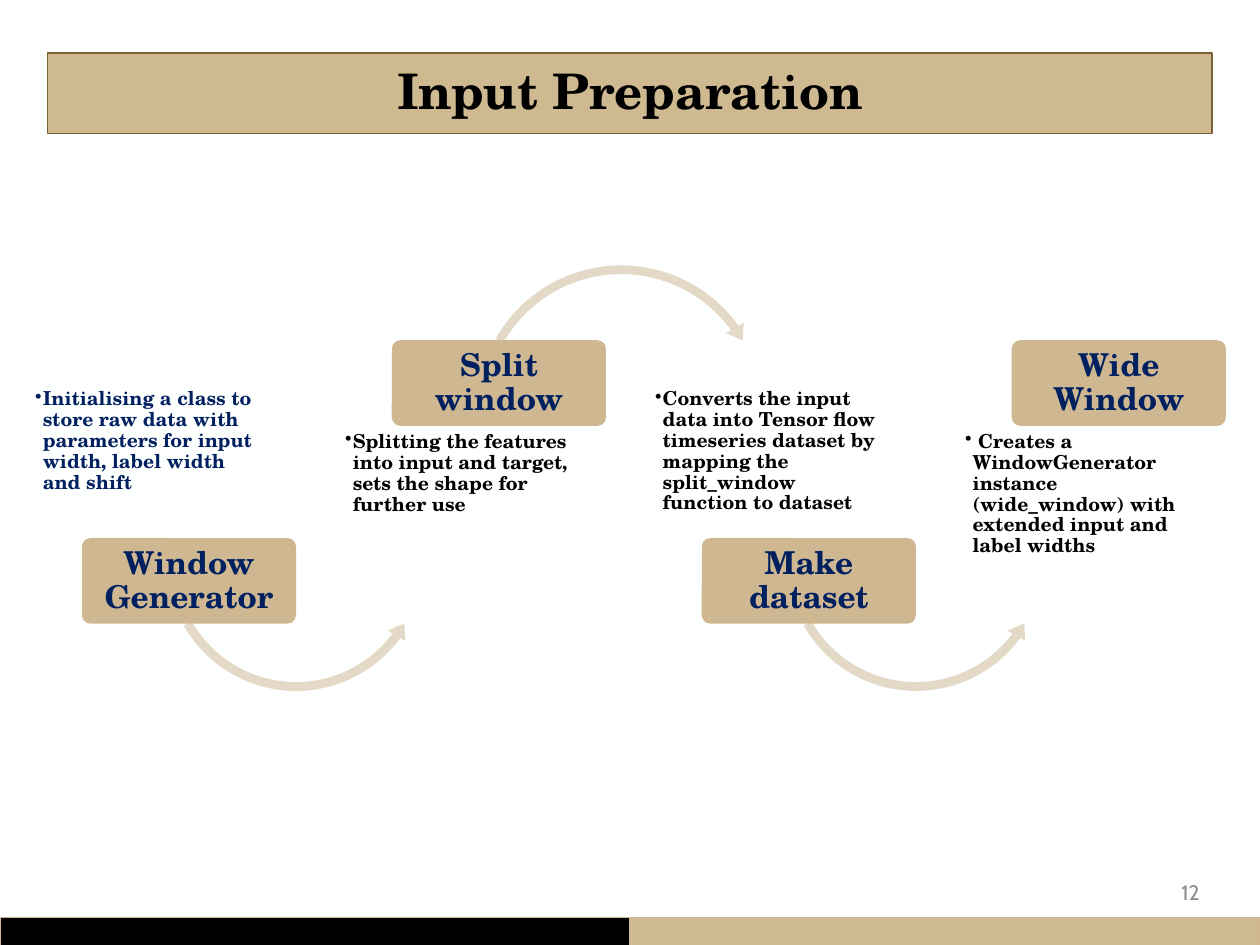
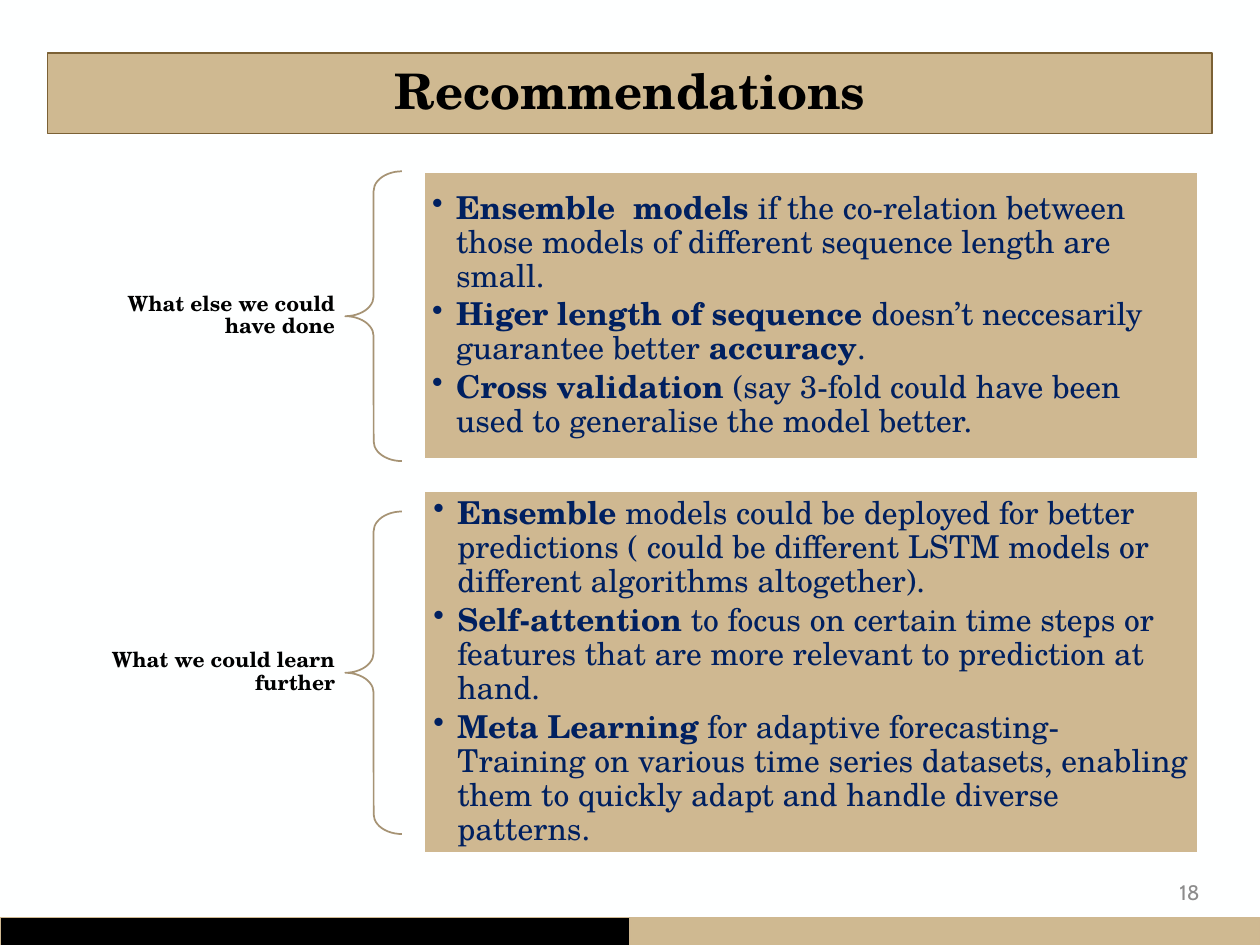
"""Builds two slides, an input preparation flow and a list of recommendations."""
from lxml import etree
from pptx import Presentation, util as u
from pptx.dml.color import RGBColor
from pptx.enum import shapes, text
from pptx.oxml.ns import qn

SERIF, SANS = "TeX Gyre Schola", "Cabin"
PAPER, BLACK, NAVY, GREY = "FEFFFF", "000000", "002060", "8C8C8C"
TAN, GOLD, BROWN, SAND, BRACE = "CFB991", "CFB891", "7B6135", "E4D8C7", "A69374"
SHAPE, ALIGN, ANCHOR = shapes.MSO_SHAPE, text.PP_ALIGN, text.MSO_ANCHOR

STEPS = [
    ("Window Generator", "Initialising a class to store raw data with parameters "
     "for input width, label width and shift", NAVY),
    ("Split window", "Splitting the features into input and target, sets the shape "
     "for further use", BLACK),
    ("Make dataset", "Converts the input data into Tensor flow timeseries dataset by "
     "mapping the split_window function to dataset", BLACK),
    ("Wide Window", " Creates a WindowGenerator instance (wide_window) with extended "
     "input and label widths", BLACK),
]
STEP_PITCH = 2.46
LOW = dict(node=4.27, note=3.07, arrow=3.39, size=2.14, kind=SHAPE.LEFT_CIRCULAR_ARROW,
           adj=(0.033, 4.046, 21.801, 90.245, 0.038))
HIGH = dict(node=2.7, note=3.41, arrow=2.06, size=2.38, kind=SHAPE.CIRCULAR_ARROW,
            adj=(0.029, 3.602, 194.643, 125.755, 0.034))

ADVICE = [
    dict(label="What else we could have done", panel=(1.37, 2.27), brace=(1.36, 2.3),
         inset=0.06, points=[
             [("Ensemble  models ", True),
              ("if the co-relation between those models of different sequence length "
               "are small.", False)],
             [("Higer length of sequence ", True),
              ("doesn’t neccesarily guarantee better ", False),
              ("accuracy", True), (".", False)],
             [("Cross validation ", True),
              ("(say 3-fold could have been used to generalise the model better.", False)],
         ]),
    dict(label="What we could learn further", panel=(3.9, 2.87), brace=(4.06, 2.56),
         inset=0.07, points=[
             [("Ensemble", True),
              (" models could be deployed for better predictions ( could be different "
               "LSTM models or different algorithms altogether).", False)],
             [("Self-attention", True),
              (" to focus on certain time steps or features that are more relevant to "
               "prediction at hand.", False)],
             [("Meta Learning", True),
              (" for adaptive forecasting- Training on various time series datasets, "
               "enabling them to quickly adapt and handle diverse patterns.", False)],
         ]),
]


def rgb(color):
    return RGBColor.from_string(color)


def add_shape(s, kind, box, fill=None, line=None, width=1, adj=()):
    sp = s.shapes.add_shape(kind, *map(u.Inches, box))
    sp.shadow.inherit = False
    if fill:
        sp.fill.solid()
        sp.fill.fore_color.rgb = rgb(fill)
    else:
        sp.fill.background()
    if line:
        sp.line.color.rgb = rgb(line)
        sp.line.width = u.Pt(width)
    else:
        sp.line.fill.background()
    for i, value in enumerate(adj):
        sp.adjustments[i] = value
    return sp


def add_box(s, box):
    return s.shapes.add_textbox(*map(u.Inches, box))


def write(sp, paragraphs, size, color, font=SERIF, align=ALIGN.LEFT, anchor=ANCHOR.MIDDLE,
          inset=(0.1, 0.05), spacing=0.9, hang=0):
    tf = sp.text_frame
    tf.word_wrap = True
    tf.vertical_anchor = anchor
    tf.margin_left = tf.margin_right = u.Inches(inset[0])
    tf.margin_top = tf.margin_bottom = u.Inches(inset[1])
    for i, runs in enumerate(paragraphs):
        p = tf.add_paragraph() if i else tf.paragraphs[0]
        if hang:
            pPr = p._p.get_or_add_pPr()
            pPr.set("marL", str(u.Inches(hang)))
            pPr.set("indent", str(-u.Inches(hang)))
            etree.SubElement(pPr, qn("a:buChar")).set("char", "•")
        p.alignment = align
        p.line_spacing = spacing
        if i < len(paragraphs) - 1:
            p.space_after = u.Pt(size * 0.15)
        for words, bold in runs:
            r = p.add_run()
            r.text = words
            r.font.name, r.font.size, r.font.bold = font, u.Pt(size), bold
            r.font.color.rgb = rgb(color)


def new_slide(prs, title, number):
    s = prs.slides.add_slide(prs.slide_layouts[6])
    s.background.fill.solid()
    s.background.fill.fore_color.rgb = rgb(PAPER)
    band = add_shape(s, SHAPE.RECTANGLE, (0.38, 0.42, 9.24, 0.64), TAN, BROWN, 0.75)
    write(band, [[(title, True)]], 28, BLACK, align=ALIGN.CENTER)
    write(add_box(s, (8.42, 6.88, 1.2, 0.4)), [[(number, False)]], 12, GREY, SANS,
          ALIGN.RIGHT, spacing=1)
    for left, fill in ((0, BLACK), (5, TAN)):
        add_shape(s, SHAPE.RECTANGLE, (left, 7.28, 5, 0.22), fill, GOLD, 0.5)
    return s


def add_steps(s):
    for i, (name, note, color) in enumerate(STEPS):
        row, x = (HIGH if i % 2 else LOW), i * STEP_PITCH
        write(add_box(s, (0.26 + x, row["note"], 1.84, 1.17)), [[(note, True)]], 11, color,
              anchor=ANCHOR.TOP, inset=(0.02, 0.02), hang=0.06)
        if i < len(STEPS) - 1:
            add_shape(s, row["kind"], (1.28 + x, row["arrow"], row["size"], row["size"]),
                      SAND, adj=row["adj"])
        node = add_shape(s, SHAPE.ROUNDED_RECTANGLE, (0.65 + x, row["node"], 1.7, 0.68),
                         GOLD, adj=(0.1,))
        write(node, [[(name, True)]], 18, NAVY, align=ALIGN.CENTER, inset=(0.04, 0.03))


def add_advice(s):
    for part in ADVICE:
        top, height = part["brace"]
        label = add_box(s, (0.49, top + height / 2 - 0.7, 2.26, 1.39))
        write(label, [[(part["label"], True)]], 12, BLACK, align=ALIGN.RIGHT,
              inset=(0.09, 0.03))
        add_shape(s, SHAPE.LEFT_BRACE, (2.74, top, 0.45, height), line=BRACE,
                  adj=(0.35, 0.5))
        top, height = part["panel"]
        panel = add_shape(s, SHAPE.RECTANGLE, (3.37, top, 6.14, height), GOLD, PAPER)
        write(panel, part["points"], 18, NAVY, inset=(part["inset"],) * 2, hang=0.19)


def main():
    prs = Presentation()
    prs.slide_width, prs.slide_height = u.Inches(10), u.Inches(7.5)
    add_steps(new_slide(prs, "Input Preparation", "12"))
    add_advice(new_slide(prs, "Recommendations", "18"))
    prs.save("out.pptx")


if __name__ == "__main__":
    main()
